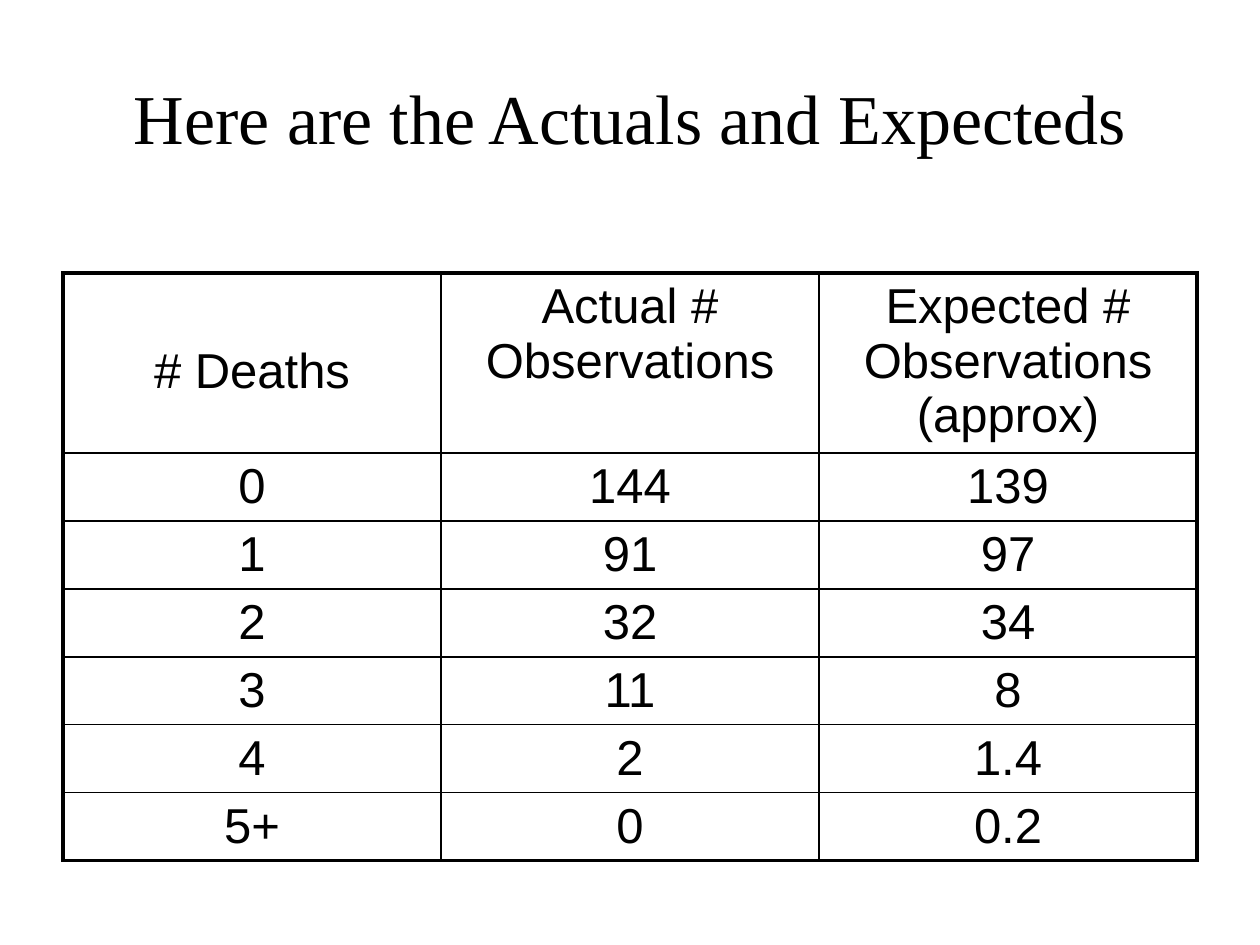
from lxml import etree
from pptx import Presentation
from pptx.dml.color import RGBColor
from pptx.enum import text
from pptx.oxml import ns
from pptx.util import Cm, Pt

TITLE = "Here are the Actuals and Expecteds"
ROWS = [
    ("# Deaths", "Actual # Observations", "Expected # Observations (approx)"),
    ("0", "144", "139"),
    ("1", "91", "97"),
    ("2", "32", "34"),
    ("3", "11", "8"),
    ("4", "2", "1.4"),
    ("5+", "0", "0.2"),
]
COLORS = {"ink": "000000"}
TITLE_FONT = {"name": "Times New Roman", "size": Pt(40)}
CELL_FONT = {"name": "Arial", "size": Pt(28)}
OUTER, INNER = Pt(2.25), Pt(1)
LEFT, TOP, WIDTH = Cm(1.27), Cm(5.5), Cm(22.86)
HEADER_HEIGHT, ROW_HEIGHT = Cm(3.63), Cm(1.37)


def write(frame, words, font):
    para = frame.paragraphs[0]
    para.alignment = text.PP_ALIGN.CENTER
    span = para.add_run()
    span.text = words
    for key, value in font.items():
        setattr(span.font, key, value)
    span.font.color.rgb = RGBColor.from_string(COLORS["ink"])


def add_border(cell, side, width):
    properties = cell._tc.get_or_add_tcPr()
    line = etree.SubElement(properties, ns.qn(f"a:ln{side}"), w=str(width))
    fill = etree.SubElement(line, ns.qn("a:solidFill"))
    etree.SubElement(fill, ns.qn("a:srgbClr"), val=COLORS["ink"])


def add_title(page):
    title = page.shapes.title
    place = {"left": LEFT, "top": Cm(0.76), "width": WIDTH, "height": Cm(3.18)}
    for key, value in place.items():
        setattr(title, key, value)
    title.text_frame.vertical_anchor = text.MSO_ANCHOR.MIDDLE
    write(title.text_frame, TITLE, TITLE_FONT)


def add_observations(page):
    last_row, last_column = len(ROWS) - 1, len(ROWS[0]) - 1
    height = HEADER_HEIGHT + last_row * ROW_HEIGHT
    table = page.shapes.add_table(
        len(ROWS), len(ROWS[0]), LEFT, TOP, WIDTH, height
    ).table
    table.first_row = table.horz_banding = False
    for column in table.columns:
        column.width = WIDTH // len(ROWS[0])
    for r, values in enumerate(ROWS):
        table.rows[r].height = ROW_HEIGHT if r else HEADER_HEIGHT
        for c, value in enumerate(values):
            cell = table.cell(r, c)
            write(cell.text_frame, value, CELL_FONT)
            edges = {"L": c == 0, "R": c == last_column,
                     "T": r == 0, "B": r == last_row}
            for side, is_outer in edges.items():
                add_border(cell, side, OUTER if is_outer else INNER)
            cell.fill.background()
    table.cell(0, 0).margin_top = Cm(1.44)


def main():
    deck = Presentation()
    deck.slide_width, deck.slide_height = Cm(25.4), Cm(19.05)
    page = deck.slides.add_slide(deck.slide_layouts.get_by_name("Title Only"))
    add_title(page)
    add_observations(page)
    deck.save("out.pptx")


if __name__ == "__main__":
    main()
